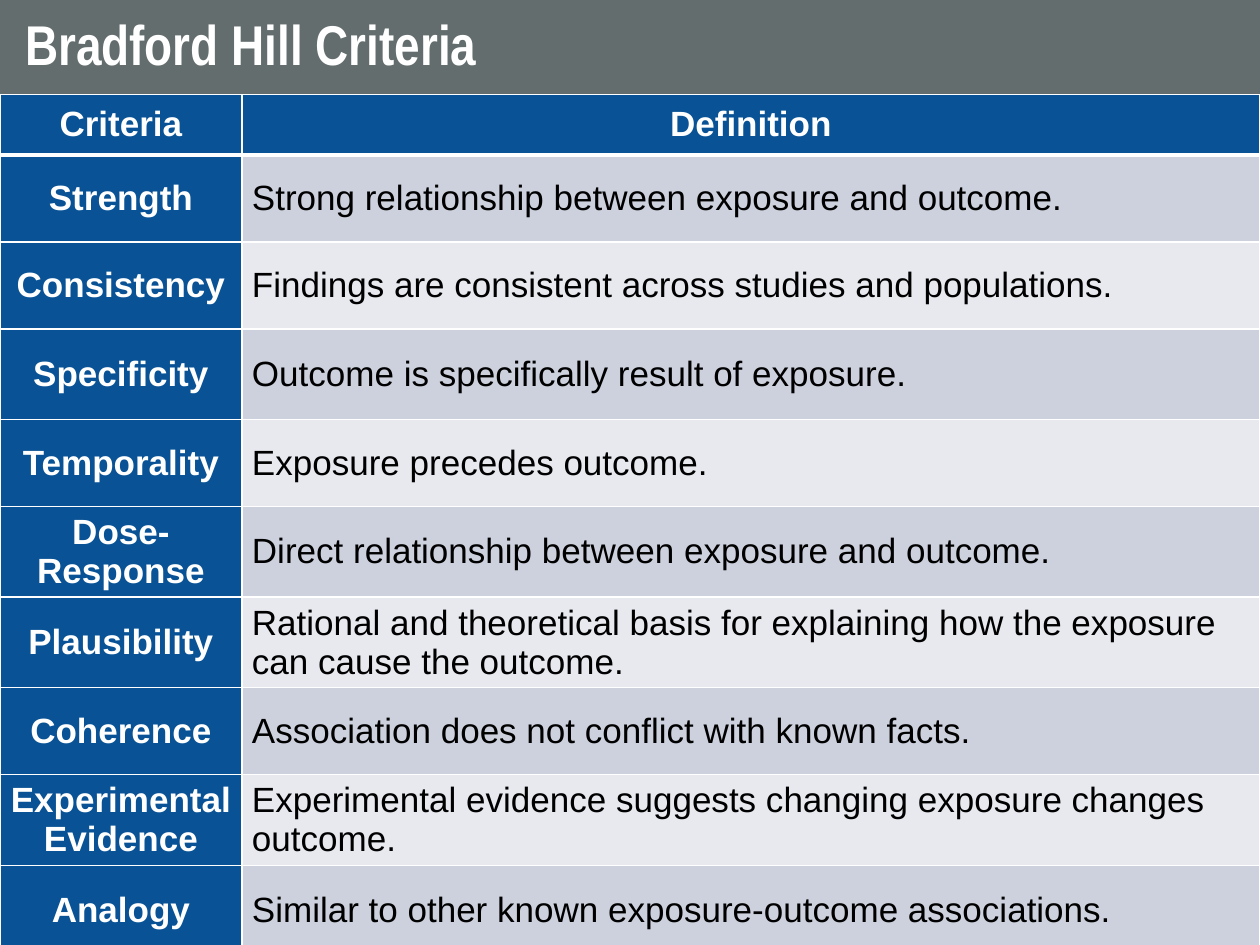
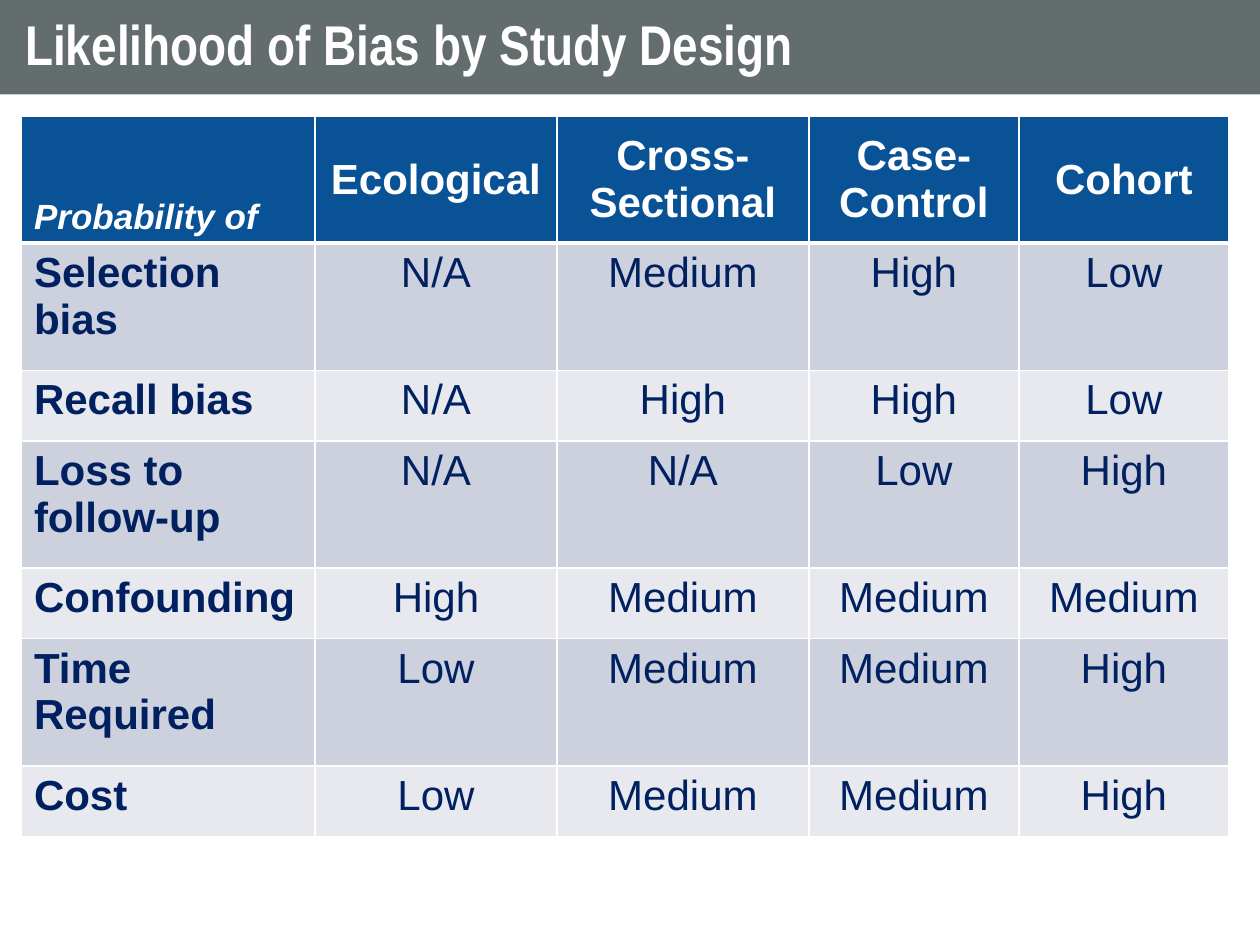
from dataclasses import dataclass

from lxml import etree
from pptx import Presentation
from pptx.dml.color import RGBColor
from pptx.enum.text import MSO_ANCHOR, MSO_AUTO_SIZE, PP_ALIGN
from pptx.oxml.ns import qn
from pptx.util import Pt

LEFT, CENTER = PP_ALIGN.LEFT, PP_ALIGN.CENTER
TOP, MIDDLE, BOTTOM = MSO_ANCHOR.TOP, MSO_ANCHOR.MIDDLE, MSO_ANCHOR.BOTTOM
NO_AUTOFIT = MSO_AUTO_SIZE.NONE
TITLE_ONLY = 5
SLIDE_WIDTH, SLIDE_HEIGHT = 720, 540


@dataclass(frozen=True)
class Theme:
    """Colours, fonts and type sizes shared by the slides."""
    title_band: str = "636D6E"
    header: str = "085295"
    bands: tuple = ("CCD1DD", "E7E9EF")
    white: str = "FFFFFF"
    black: str = "000000"
    navy: str = "002060"
    title_font: str = "Arial Narrow"
    body_font: str = "Arial"
    title_size: int = 32
    large: int = 24
    medium: int = 20
    rule: int = 1
    header_rule: int = 3


THEME = Theme()
TITLE_BOX = (0, 0, SLIDE_WIDTH, 54)

CRITERIA = [
    ("Criteria", "Definition"),
    ("Strength", "Strong relationship between exposure and outcome."),
    ("Consistency", "Findings are consistent across studies and populations."),
    ("Specificity", "Outcome is specifically result of exposure."),
    ("Temporality", "Exposure precedes outcome."),
    ("Dose-Response", "Direct relationship between exposure and outcome."),
    ("Plausibility", "Rational and theoretical basis for explaining how the "
                     "exposure can cause the outcome."),
    ("Coherence", "Association does not conflict with known facts."),
    ("Experimental Evidence", "Experimental evidence suggests changing exposure "
                              "changes outcome."),
    ("Analogy", "Similar to other known exposure-outcome associations."),
]
CRITERIA_WIDTHS = (138.24, 581.76)
SHORT, TALL = 49.68, 51.84
CRITERIA_HEIGHTS = (34.56, SHORT, SHORT, TALL, SHORT, TALL, TALL, SHORT, TALL, TALL)

BIAS = [
    ("Probability of", "Ecological", "Cross-Sectional", "Case-Control", "Cohort"),
    ("Selection bias", "N/A", "Medium", "High", "Low"),
    ("Recall bias", "N/A", "High", "High", "Low"),
    ("Loss to follow-up", "N/A", "N/A", "Low", "High"),
    ("Confounding", "High", "Medium", "Medium", "Medium"),
    ("Time Required", "Low", "Medium", "Medium", "High"),
    ("Cost", "Low", "Medium", "Medium", "High"),
]
BIAS_WIDTHS = (167.76, 138.24, 144, 120, 120)
BIAS_HEIGHTS = (72.72,) + (72.72, 40.32) * 3


def style_font(font, name, size, color, bold, italic=False):
    """Set the face, size, colour and weight of a font."""
    font.name, font.size = name, Pt(size)
    font.bold, font.italic = bold, italic
    font.color.rgb = RGBColor.from_string(color)


def add_borders(cell, row):
    """Draw white rules around a cell, heavier below the header row."""
    top = THEME.header_rule if row == 1 else THEME.rule
    bottom = THEME.header_rule if row == 0 else THEME.rule
    sides = {"a:lnL": THEME.rule, "a:lnR": THEME.rule, "a:lnT": top, "a:lnB": bottom}
    properties = cell._tc.get_or_add_tcPr()
    for tag, width in sides.items():
        rule = etree.SubElement(properties, qn(tag), w=str(Pt(width)))
        fill = etree.SubElement(rule, qn("a:solidFill"))
        etree.SubElement(fill, qn("a:srgbClr"), val=THEME.white)


def fill_cell(cell, row, text, fill, color, size, bold,
              italic=False, align=CENTER, anchor=MIDDLE):
    """Write one table cell with its rules, fill and text style."""
    add_borders(cell, row)
    cell.fill.solid()
    cell.fill.fore_color.rgb = RGBColor.from_string(fill)
    cell.vertical_anchor = anchor
    cell.text_frame.text = text
    paragraph = cell.text_frame.paragraphs[0]
    paragraph.alignment = align
    style_font(paragraph.runs[0].font, THEME.body_font, size, color, bold, italic)


def add_grid(slide, left, top, widths, heights):
    """Add a plain table with the given column widths and row heights."""
    frame = slide.shapes.add_table(len(heights), len(widths), Pt(left), Pt(top),
                                   Pt(sum(widths)), Pt(sum(heights)))
    table = frame.table
    table.horz_banding = False
    for column, width in zip(table.columns, widths):
        column.width = Pt(width)
    for row, height in zip(table.rows, heights):
        row.height = Pt(height)
    return table


def band_color(row):
    """Return the alternating fill of a body row."""
    return THEME.bands[(row - 1) % 2]


def add_title_band(slide, text, box):
    """Turn the title placeholder into the grey band across the top."""
    title = slide.shapes.title
    title.left, title.top, title.width, title.height = map(Pt, box)
    title.fill.solid()
    title.fill.fore_color.rgb = RGBColor.from_string(THEME.title_band)
    frame = title.text_frame
    frame.text = text
    frame.word_wrap, frame.auto_size = True, NO_AUTOFIT
    frame.vertical_anchor = MIDDLE
    frame.margin_left = frame.margin_right = Pt(14.4)
    frame.margin_top = frame.margin_bottom = Pt(7.2)
    paragraph = frame.paragraphs[0]
    paragraph.alignment, paragraph.line_spacing = LEFT, 0.9
    style_font(paragraph.runs[0].font, THEME.title_font, THEME.title_size,
               THEME.white, True)


def add_criteria_table(slide, left, top):
    """Lay out the criteria beside their definitions."""
    table = add_grid(slide, left, top, CRITERIA_WIDTHS, CRITERIA_HEIGHTS)
    for row, entries in enumerate(CRITERIA):
        for column, text in enumerate(entries):
            cell = table.cell(row, column)
            if row == 0 or column == 0:
                fill_cell(cell, row, text, THEME.header, THEME.white,
                          THEME.medium, True)
            else:
                fill_cell(cell, row, text, band_color(row), THEME.black,
                          THEME.medium, False, align=LEFT)
            cell.margin_left = cell.margin_right = Pt(5.76)
            cell.margin_top = cell.margin_bottom = Pt(1.44)
            paragraph = cell.text_frame.paragraphs[0]
            paragraph.space_after = Pt(3 if row == 0 else 2)


def add_bias_table(slide, left, top):
    """Lay out the likelihood of each bias by study design."""
    table = add_grid(slide, left, top, BIAS_WIDTHS, BIAS_HEIGHTS)
    for row, entries in enumerate(BIAS):
        for column, text in enumerate(entries):
            cell = table.cell(row, column)
            is_label = column == 0
            align = LEFT if is_label else CENTER
            if row == 0:
                fill_cell(cell, row, text, THEME.header, THEME.white,
                          THEME.medium if is_label else THEME.large, True,
                          is_label, align, BOTTOM if is_label else MIDDLE)
            else:
                fill_cell(cell, row, text, band_color(row), THEME.navy,
                          THEME.large, is_label, align=align, anchor=TOP)


def add_table_slide(presentation, title, add_table, left, top):
    """Add a slide with the title band and one table."""
    slide = presentation.slides.add_slide(presentation.slide_layouts[TITLE_ONLY])
    add_title_band(slide, title, TITLE_BOX)
    add_table(slide, left, top)


def main():
    """Build and save the two slides."""
    presentation = Presentation()
    presentation.slide_width, presentation.slide_height = Pt(SLIDE_WIDTH), Pt(SLIDE_HEIGHT)
    add_table_slide(presentation, "Bradford Hill Criteria", add_criteria_table, 0, 54)
    add_table_slide(presentation, "Likelihood of Bias by Study Design",
                    add_bias_table, 12.24, 66.24)
    presentation.save("out.pptx")


if __name__ == "__main__":
    main()
